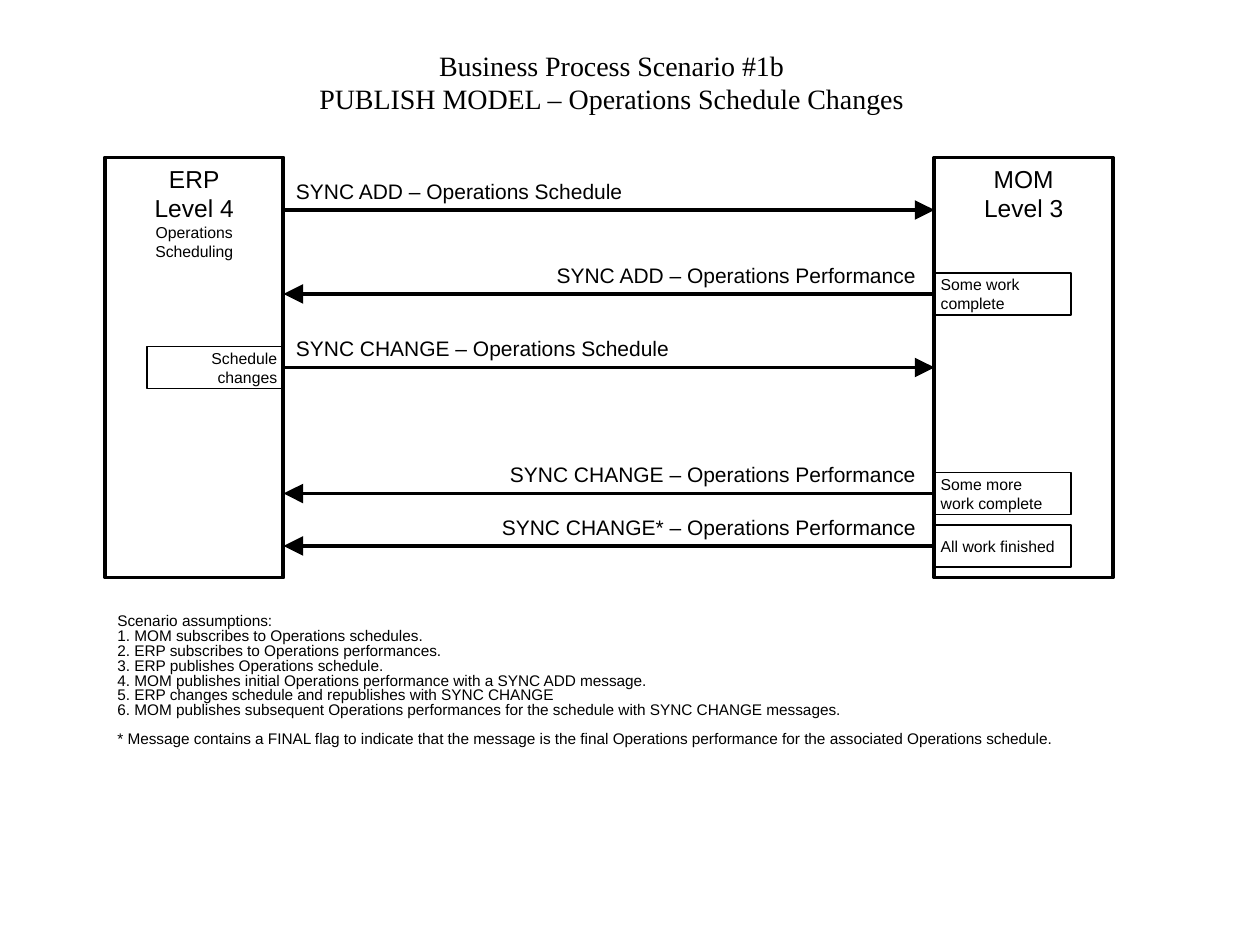
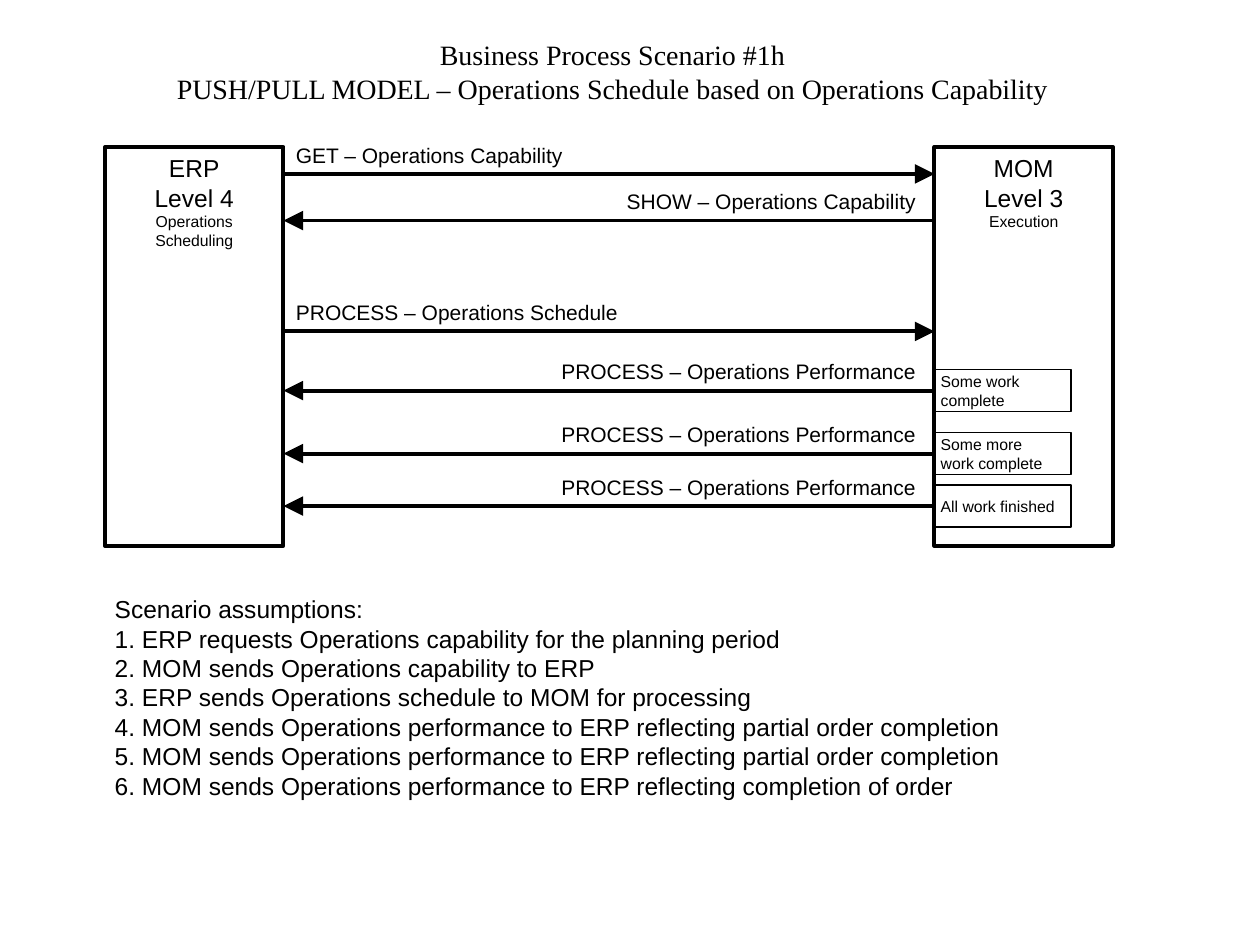
from lxml.etree import SubElement
from pptx import Presentation
from pptx.dml.color import RGBColor
from pptx.enum.shapes import MSO_CONNECTOR, MSO_SHAPE
from pptx.enum.text import MSO_ANCHOR, MSO_AUTO_SIZE, PP_ALIGN
from pptx.oxml.ns import qn
from pptx.util import Pt

BLACK = RGBColor(0, 0, 0)
WHITE = RGBColor(255, 255, 255)
SANS, SERIF = "Arial", "Times New Roman"
LEFT, MID, RIGHT = PP_ALIGN.LEFT, PP_ALIGN.CENTER, PP_ALIGN.RIGHT

# Shared measures, in points
ERP_X, MOM_X, COL_W = 60, 534, 102
ERP_END = ERP_X + COL_W
NOTE_W, NOTE_H = 78, 24
LABEL_H, LABEL_GAP = 21.6, 3.4
HEAD, SMALL = 14, 9
ERP = [("ERP", HEAD), ("Level 4", HEAD), ("Operations Scheduling", SMALL)]
MOM = [("MOM", HEAD), ("Level 3", HEAD)]
SOME = ["Some work", "complete"]
MORE = ["Some more", "work complete"]
DONE = ["All work finished"]


def write(shape, lines, size=12, font=SANS, align=LEFT, anchor=MSO_ANCHOR.TOP,
          wrap=False, grow=False, inset=7.2, space=None):
    """Fill a shape with lines; a line is text or a (text, size) pair."""
    frame = shape.text_frame
    frame.word_wrap = wrap
    frame.auto_size = MSO_AUTO_SIZE.SHAPE_TO_FIT_TEXT if grow else MSO_AUTO_SIZE.NONE
    frame.vertical_anchor = anchor
    frame.margin_left = frame.margin_right = Pt(inset)
    frame.margin_top = frame.margin_bottom = Pt(3.6)
    for i, line in enumerate(lines):
        text, points = line if isinstance(line, tuple) else (line, size)
        para = frame.paragraphs[0] if i == 0 else frame.add_paragraph()
        para.alignment = align
        if space:
            para.line_spacing = space
        run = para.add_run()
        run.text = text
        run.font.size, run.font.name = Pt(points), font
        run.font.color.rgb = BLACK
    return frame


def place(x, y, w, h):
    return Pt(x), Pt(y), Pt(w), Pt(h)


def add_title(slide, lines, box):
    title = slide.shapes.title
    title.left, title.top, title.width, title.height = place(*box)
    write(title, lines, size=16, font=SERIF, align=MID, grow=True)


def add_text(slide, lines, box, **style):
    return write(slide.shapes.add_textbox(*place(*box)), lines, **style)


def add_rect(slide, lines, box, weight, fill=None, **style):
    rect = slide.shapes.add_shape(MSO_SHAPE.RECTANGLE, *place(*box))
    rect.shadow.inherit = False
    if fill is None:
        rect.fill.background()
    else:
        rect.fill.solid()
        rect.fill.fore_color.rgb = fill
    rect.line.color.rgb, rect.line.width = BLACK, Pt(weight)
    write(rect, lines, **style)
    return rect


def add_arrow(slide, start, end, y):
    arrow = slide.shapes.add_connector(
        MSO_CONNECTOR.STRAIGHT, Pt(start), Pt(y), Pt(end), Pt(y))
    arrow.line.color.rgb, arrow.line.width = BLACK, Pt(2.25)
    props = arrow._element.spPr
    SubElement(props.find(qn("a:ln")), qn("a:tailEnd"),
               type="triangle", w="lg", len="lg")
    SubElement(props, qn("a:effectLst"))
    return arrow


def add_flow(slide, top, height, mom, calls):
    """Two columns and the messages between them, measured from the top."""
    erp, mom = [
        add_rect(slide, lines, (x, top, COL_W, height), 2.25, WHITE,
                 align=MID, wrap=True)
        for x, lines in ((ERP_X, ERP), (MOM_X, mom))]

    for drop, ahead, label, width, note in calls:
        y = top + drop
        ends = (ERP_END, MOM_X) if ahead else (MOM_X, ERP_END)
        side = 3 if ahead else 1
        arrow = add_arrow(slide, *ends, y)
        # Event note inside the sending column, its text towards the arrow
        if note:
            x = ERP_END - NOTE_W if ahead else MOM_X
            event = add_rect(slide, note, (x, y - NOTE_H / 2, NOTE_W, NOTE_H), 0.75,
                             size=SMALL, align=RIGHT if ahead else LEFT, inset=3.6,
                             anchor=MSO_ANCHOR.MIDDLE)
            arrow.begin_connect(event, side)
        # Arrows at half height meet the columns themselves
        if drop == height / 2:
            if not note:
                arrow.begin_connect(erp if ahead else mom, side)
            arrow.end_connect(mom if ahead else erp, 4 - side)
        # Message name above the arrow, next to the sender
        x = ERP_END if ahead else MOM_X - LABEL_GAP - width
        add_text(slide, [label], (x, y - LABEL_H, width, LABEL_H),
                 align=LEFT if ahead else RIGHT, grow=True)


def publish(slide):
    add_title(slide, ["Business Process Scenario #1b",
                      "PUBLISH MODEL – Operations Schedule Changes"],
              (175, 24, 349, 46))
    add_flow(slide, 90, 240, MOM, [
        (30, True, "SYNC ADD – Operations Schedule", 204, None),
        (78, False, "SYNC ADD – Operations Performance", 223, SOME),
        (120, True, "SYNC CHANGE – Operations Schedule", 231,
         ["Schedule", "changes"]),
        (192, False, "SYNC CHANGE – Operations Performance", 249, MORE),
        (222, False, "SYNC CHANGE* – Operations Performance", 254, DONE),
    ])
    frame = add_text(slide, [
        "Scenario assumptions:",
        "1. MOM subscribes to Operations schedules.",
        "2. ERP subscribes to Operations performances.",
        "3. ERP publishes Operations schedule.",
        "4. MOM publishes initial Operations performance with a SYNC ADD message.",
        "5. ERP changes schedule and republishes with SYNC CHANGE",
        "6. MOM publishes subsequent Operations performances for the schedule "
        "with SYNC CHANGE messages.",
        "* Message contains a FINAL flag to indicate that the message is the final "
        "Operations performance for the associated Operations schedule.",
    ], (60, 348, 576, 108), size=8.8, space=0.8, wrap=True)
    frame.paragraphs[-1].space_before = Pt(8.3)


def push_pull(slide):
    add_title(slide, ["Business Process Scenario #1h",
                      "PUSH/PULL MODEL – Operations Schedule based on "
                      "Operations Capability"],
              (91, 18, 518, 46))
    work = "PROCESS – Operations Performance"
    add_flow(slide, 84, 228, MOM + [("Execution", SMALL)], [
        (15.4, True, "GET – Operations Capability", 170, None),
        (42, False, "SHOW – Operations Capability", 183, None),
        (105.4, True, "PROCESS – Operations Schedule", 201, None),
        (139.2, False, work, 220, SOME),
        (175.2, False, work, 220, MORE),
        (205.2, False, work, 220, DONE),
    ])
    part = "MOM sends Operations performance to ERP reflecting"
    add_text(slide, [
        "Scenario assumptions:",
        "1. ERP requests Operations capability for the planning period",
        "2. MOM sends Operations capability to ERP",
        "3. ERP sends Operations schedule to MOM for processing",
        f"4. {part} partial order completion",
        f"5. {part} partial order completion",
        f"6. {part} completion of order",
    ], (58.5, 336, 520.5, 125.3), size=HEAD, grow=True)


def main():
    deck = Presentation()
    deck.slide_width, deck.slide_height = Pt(720), Pt(540)
    for build in (publish, push_pull):
        build(deck.slides.add_slide(deck.slide_layouts[5]))
    deck.save("out.pptx")


if __name__ == "__main__":
    main()
